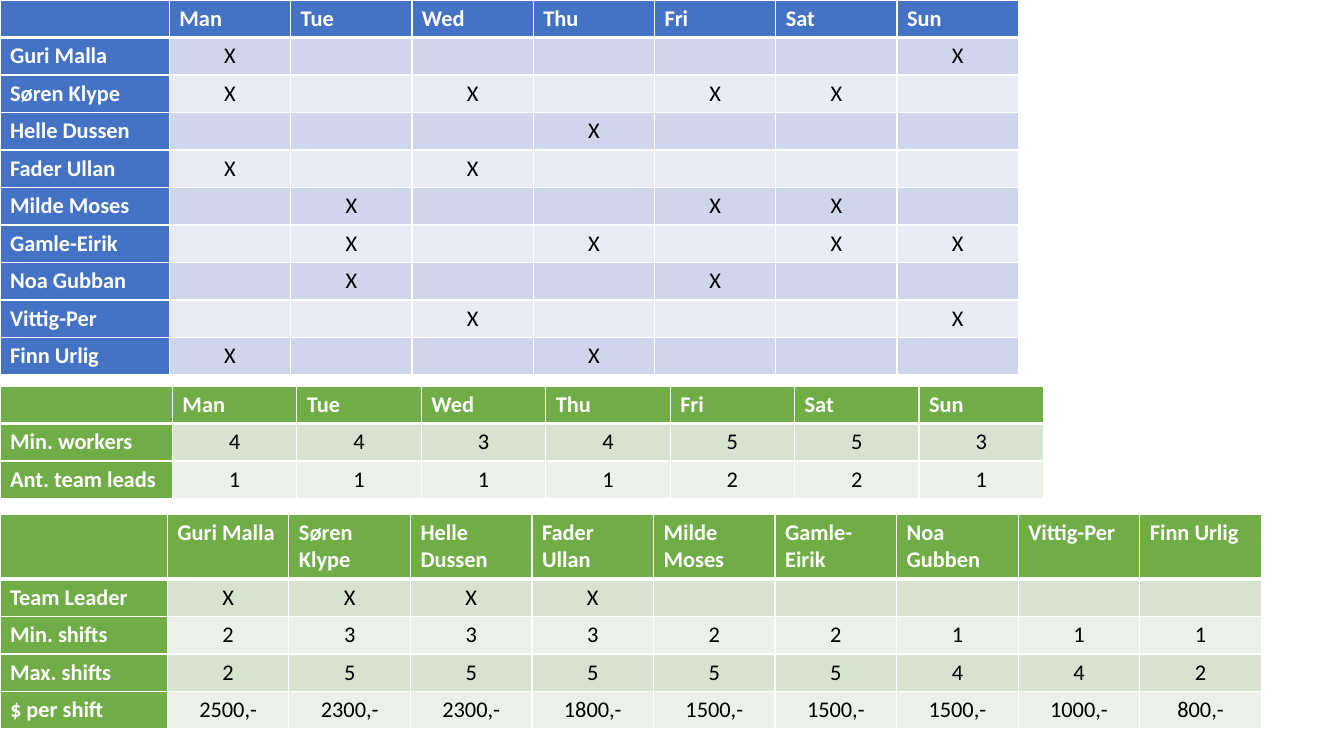
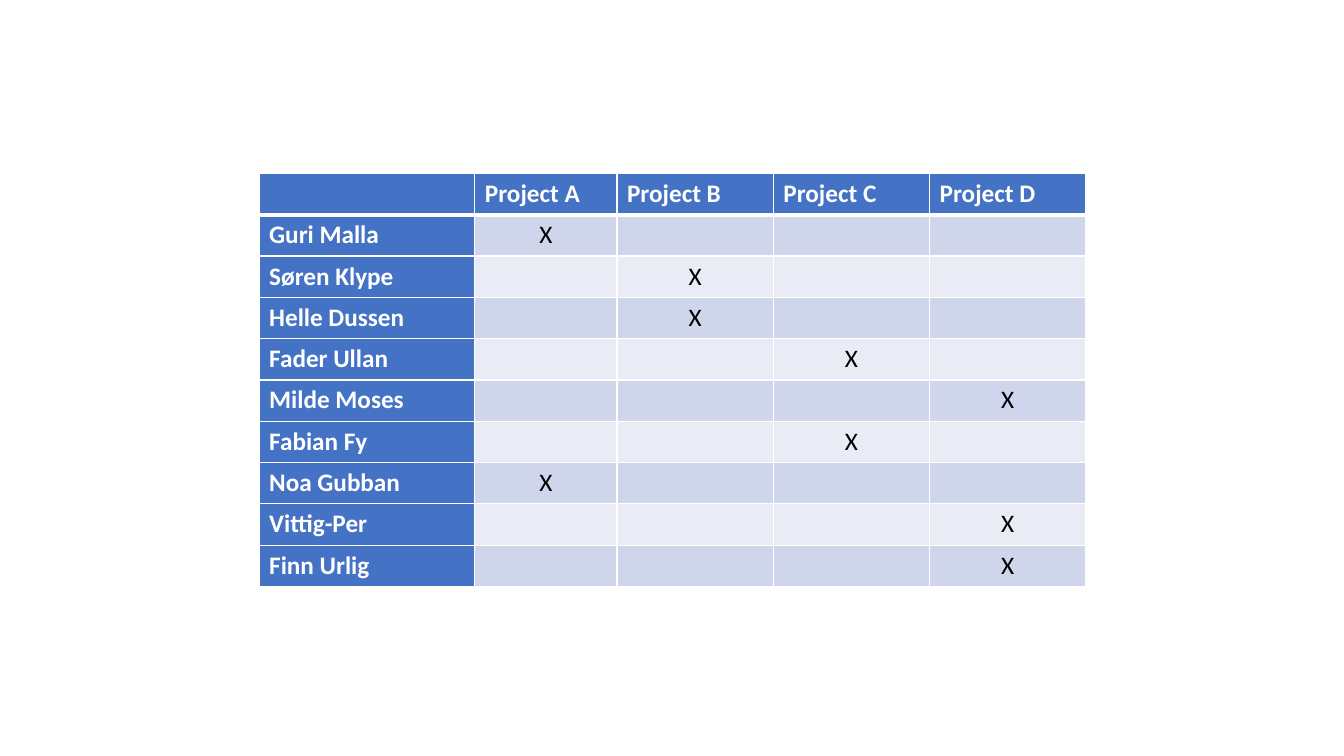
"""Build two slides of staffing tables: weekly shifts and project assignments."""
from lxml.etree import SubElement
from pptx import Presentation
from pptx.dml.color import RGBColor
from pptx.enum.text import PP_ALIGN
from pptx.oxml.ns import qn
from pptx.util import Inches, Pt

FONT = "Calibri"
COLORS = {"white": "FFFFFF", "text": "000000"}
BLUE = {"header": "4472C4", "bands": ("CFD5EA", "E9EBF5")}
GREEN = {"header": "70AD47", "bands": ("D5E3CF", "EBF1E9")}

DAYS = ["Man", "Tue", "Wed", "Thu", "Fri", "Sat", "Sun"]
PROJECTS = ["Project A", "Project B", "Project C", "Project D"]
WORKERS = ["Guri Malla", "Søren Klype", "Helle Dussen", "Fader Ullan", "Milde Moses",
           "Gamle-Eirik", "Noa Gubben", "Vittig-Per", "Finn Urlig"]

SHIFTS = {
    "Guri Malla": ["Man", "Sun"],
    "Søren Klype": ["Man", "Wed", "Fri", "Sat"],
    "Helle Dussen": ["Thu"],
    "Fader Ullan": ["Man", "Wed"],
    "Milde Moses": ["Tue", "Fri", "Sat"],
    "Gamle-Eirik": ["Tue", "Thu", "Sat", "Sun"],
    "Noa Gubban": ["Tue", "Fri"],
    "Vittig-Per": ["Wed", "Sun"],
    "Finn Urlig": ["Man", "Thu"],
}
ASSIGNMENTS = {
    "Guri Malla": ["Project A"],
    "Søren Klype": ["Project B"],
    "Helle Dussen": ["Project B"],
    "Fader Ullan": ["Project C"],
    "Milde Moses": ["Project D"],
    "Fabian Fy": ["Project C"],
    "Noa Gubban": ["Project A"],
    "Vittig-Per": ["Project D"],
    "Finn Urlig": ["Project D"],
}
STAFFING = {
    "Min. workers": [4, 4, 3, 4, 5, 5, 3],
    "Ant. team leads": [1, 1, 1, 1, 2, 2, 1],
}
TERMS = {
    "Team Leader": ["X"] * 4 + [""] * 5,
    "Min. shifts": [2, 3, 3, 3, 2, 2, 1, 1, 1],
    "Max. shifts": [2, 5, 5, 5, 5, 5, 4, 4, 2],
    "$ per shift": [f"{pay},-" for pay in
                    (2500, 2300, 2300, 1800, 1500, 1500, 1500, 1000, 800)],
}


def mark(choices, headings):
    """Turn each name's choices into a row of X marks under the headings."""
    return {name: ["X" if heading in chosen else "" for heading in headings]
            for name, chosen in choices.items()}


def equal_columns(total, first, count):
    """Return a label column followed by equal columns filling the total width."""
    return [first] + [(total - first) / count] * count


def add_borders(cell, bottom):
    """Draw white cell borders with the given bottom width in points."""
    properties = cell._tc.get_or_add_tcPr()
    for side, width in (("L", 1), ("R", 1), ("T", 1), ("B", bottom)):
        line = SubElement(properties, qn(f"a:ln{side}"), w=str(Pt(width)))
        fill = SubElement(line, qn("a:solidFill"))
        SubElement(fill, qn("a:srgbClr"), val=COLORS["white"])


def style_cell(cell, value, size, fill, is_heading, centered, bottom):
    """Write and format one table cell."""
    add_borders(cell, bottom)
    cell.fill.solid()
    cell.fill.fore_color.rgb = RGBColor.from_string(fill)
    cell.text = str(value)
    paragraph = cell.text_frame.paragraphs[0]
    paragraph.alignment = PP_ALIGN.CENTER if centered else PP_ALIGN.LEFT
    font = paragraph.font
    font.name, font.size, font.bold = FONT, Pt(size), is_heading
    font.color.rgb = RGBColor.from_string(COLORS["white" if is_heading else "text"])
    if not value:
        SubElement(paragraph._p, qn("a:endParaRPr"), sz=str(size * 100))


def add_grid(slide, left, top, headings, body, columns, palette, size, row_height,
             header_height=None):
    """Add a banded table with a header row and a label column."""
    rows = [["", *headings]] + [[label, *values] for label, values in body.items()]
    heights = [header_height or row_height] + [row_height] * len(body)
    frame = slide.shapes.add_table(len(rows), len(columns), Inches(left), Inches(top),
                                   Inches(sum(columns)), Inches(sum(heights)))
    table = frame.table
    for column, width in zip(table.columns, columns):
        column.width = Inches(width)
    for row_index, values in enumerate(rows):
        table.rows[row_index].height = Inches(heights[row_index])
        for column_index, value in enumerate(values):
            is_heading = row_index == 0 or column_index == 0
            fill = palette["header"] if is_heading else palette["bands"][(row_index - 1) % 2]
            style_cell(table.cell(row_index, column_index), value, size, fill, is_heading,
                       not is_heading, 3 if row_index == 0 else 1)
    table.first_col = True


def main():
    presentation = Presentation()
    presentation.slide_width, presentation.slide_height = Inches(13.33), Inches(7.5)
    shifts, projects = (presentation.slides.add_slide(presentation.slide_layouts[6])
                        for _ in range(2))
    add_grid(shifts, 0, 0, DAYS, mark(SHIFTS, DAYS),
             equal_columns(10.1, 1.68, len(DAYS)), BLUE, 16, 0.37)
    add_grid(shifts, 0, 3.83, DAYS, STAFFING,
             equal_columns(10.35, 1.71, len(DAYS)), GREEN, 16, 0.37)
    add_grid(shifts, 0, 5.1, WORKERS, TERMS,
             equal_columns(12.51, 1.66, len(WORKERS)), GREEN, 16, 0.37, 0.64)
    add_grid(projects, 2.57, 1.72, PROJECTS, mark(ASSIGNMENTS, PROJECTS),
             [2.14, 1.41] + [1.55] * 3, BLUE, 18, 0.41)
    presentation.save("out.pptx")


if __name__ == "__main__":
    main()
